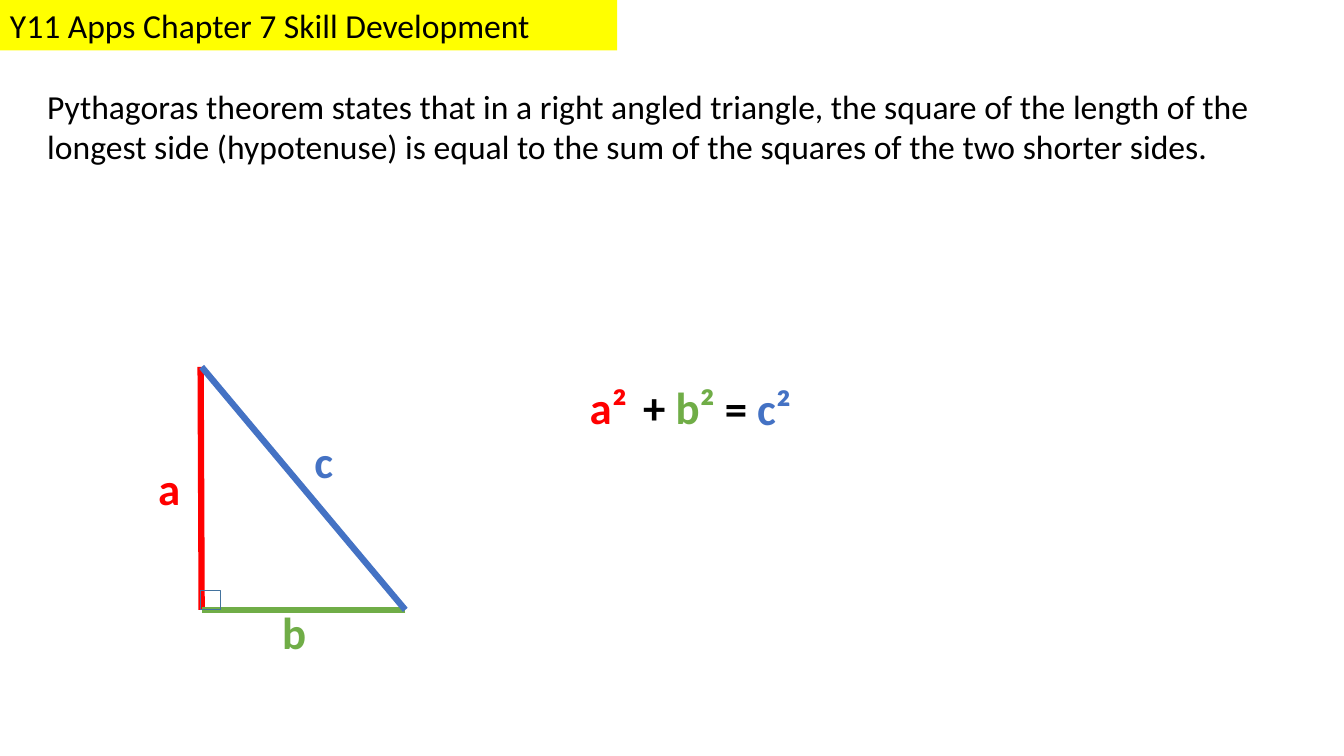
from pptx import Presentation
from pptx.dml.color import RGBColor
from pptx.enum.shapes import MSO_CONNECTOR, MSO_SHAPE
from pptx.enum.text import MSO_ANCHOR, PP_ALIGN
from pptx.oxml.ns import qn
from pptx.util import Inches, Pt
from lxml import etree

LINE = MSO_CONNECTOR.STRAIGHT
RECTANGLE = MSO_SHAPE.RECTANGLE
LEFT = PP_ALIGN.LEFT
TOP = MSO_ANCHOR.TOP

FONT = "Calibri"
COLOURS = {
    "text": "000000",
    "banner": "FFFF00",
    "a": "FF0000",
    "b": "70AD47",
    "c": "4472C4",
    "right angle": "43739E",
}

TITLE = "Y11 Apps Chapter 7 Skill Development"
THEOREM = (
    "Pythagoras theorem states that in a right angled triangle, the square of "
    "the length of the longest side (hypotenuse) is equal to the sum of the "
    "squares of the two shorter sides."
)
TITLE_BOX = (0, 0, 6.12, 0.5)
THEOREM_BOX = (0.37, 0.8, 12.27, 0.91)
RIGHT_ANGLE_BOX = (1.99, 5.86, 0.2, 0.19)

# Triangle corners
APEX = (2, 3.64)
CORNER = (2, 6.05)
BASE_END = (4.02, 6.05)
SIDES = [
    ("a", (1.99, 3.64), CORNER),
    ("b", BASE_END, CORNER),
    ("c", APEX, BASE_END),
]

# Left, top, width, then (text, colour) runs
LABEL_WIDTH = 0.61
LABEL_HEIGHT = 0.64
LABELS = [
    (1.47, 4.52, LABEL_WIDTH, [("a", "a")]),
    (2.7, 5.95, LABEL_WIDTH, [("b", "b")]),
    (3.02, 4.25, LABEL_WIDTH, [("c", "c")]),
    (5.75, 3.72, LABEL_WIDTH, [("a²", "a")]),
    (6.28, 3.72, 1.38, [("+", "text"), (" b²", "b")]),
    (7.09, 3.73, 1, [("= ", "text"), ("c²", "c")]),
]


def colour(name):
    return RGBColor.from_string(COLOURS[name])


def inches(values):
    return [Inches(value) for value in values]


def write(shape, runs, size, bold=False):
    """Fill a shape with one left-aligned paragraph of (text, colour) runs."""
    text_frame = shape.text_frame
    text_frame.word_wrap = True
    text_frame.vertical_anchor = TOP
    paragraph = text_frame.paragraphs[0]
    paragraph.alignment = LEFT
    for text, colour_name in runs:
        run = paragraph.add_run()
        run.text = text
        run.font.name = FONT
        run.font.size = Pt(size)
        run.font.bold = bold
        run.font.color.rgb = colour(colour_name)


def add_text(slide, box, runs, size, bold=False):
    write(slide.shapes.add_textbox(*inches(box)), runs, size, bold)


def add_rectangle(slide, box):
    shape = slide.shapes.add_shape(RECTANGLE, *inches(box))
    shape.shadow.inherit = False
    return shape


def add_side(slide, name, start, end):
    connector = slide.shapes.add_connector(LINE, *inches(start + end))
    connector.line.color.rgb = colour(name)
    connector.line.width = Pt(4.5)
    etree.SubElement(connector._element.spPr, qn("a:effectLst"))


def main():
    presentation = Presentation()
    presentation.slide_width = Inches(13.33)
    presentation.slide_height = Inches(7.5)
    slide = presentation.slides.add_slide(presentation.slide_layouts[6])

    banner = add_rectangle(slide, TITLE_BOX)
    banner.fill.solid()
    banner.fill.fore_color.rgb = colour("banner")
    banner.line.fill.background()
    write(banner, [(TITLE, "text")], 24)

    for side in SIDES:
        add_side(slide, *side)

    right_angle = add_rectangle(slide, RIGHT_ANGLE_BOX)
    right_angle.fill.background()
    right_angle.line.color.rgb = colour("right angle")
    right_angle.line.width = Pt(1)

    for left, top, width, runs in LABELS:
        add_text(slide, (left, top, width, LABEL_HEIGHT), runs, 32, bold=True)
    add_text(slide, THEOREM_BOX, [(THEOREM, "text")], 24)

    presentation.save("out.pptx")


if __name__ == "__main__":
    main()
